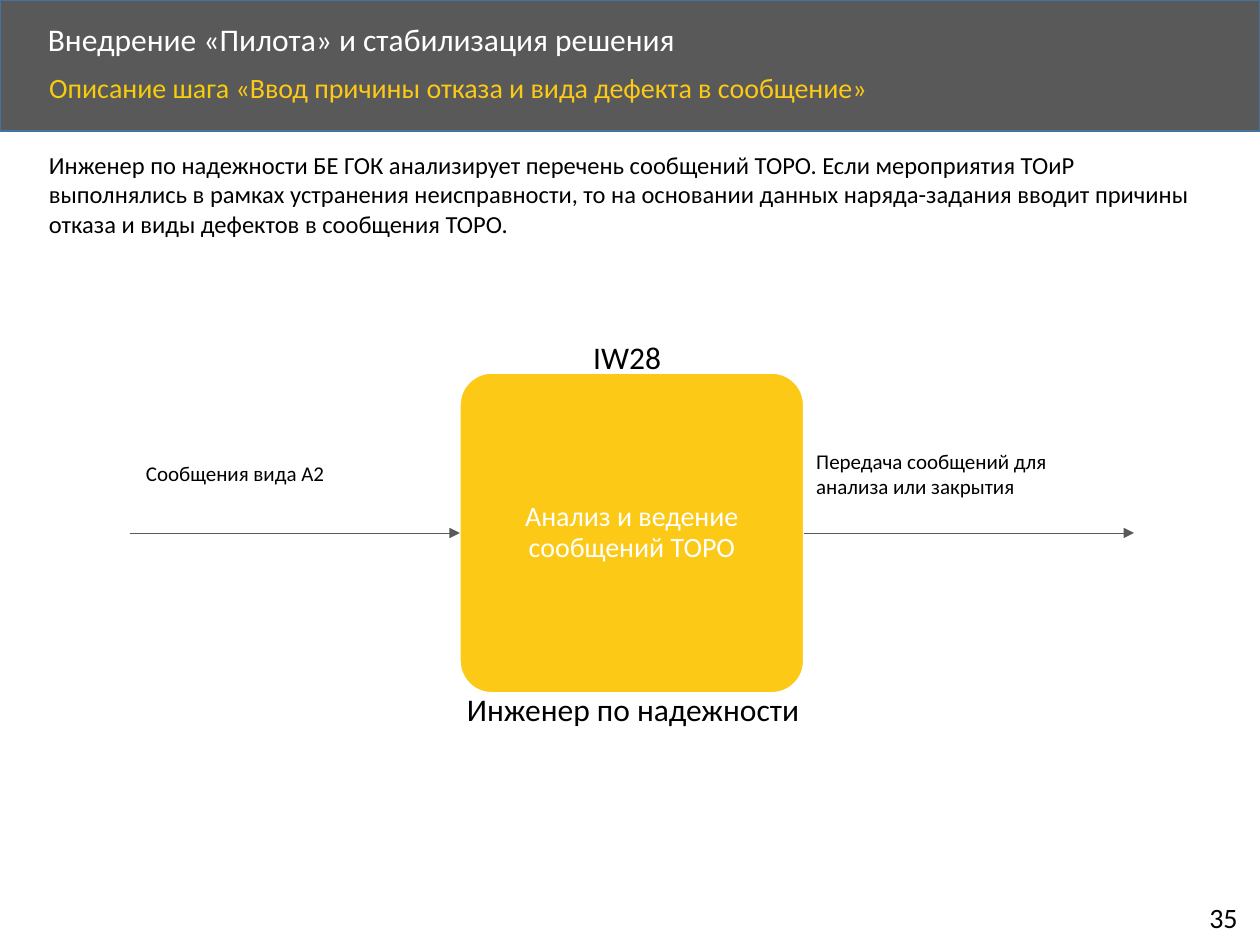
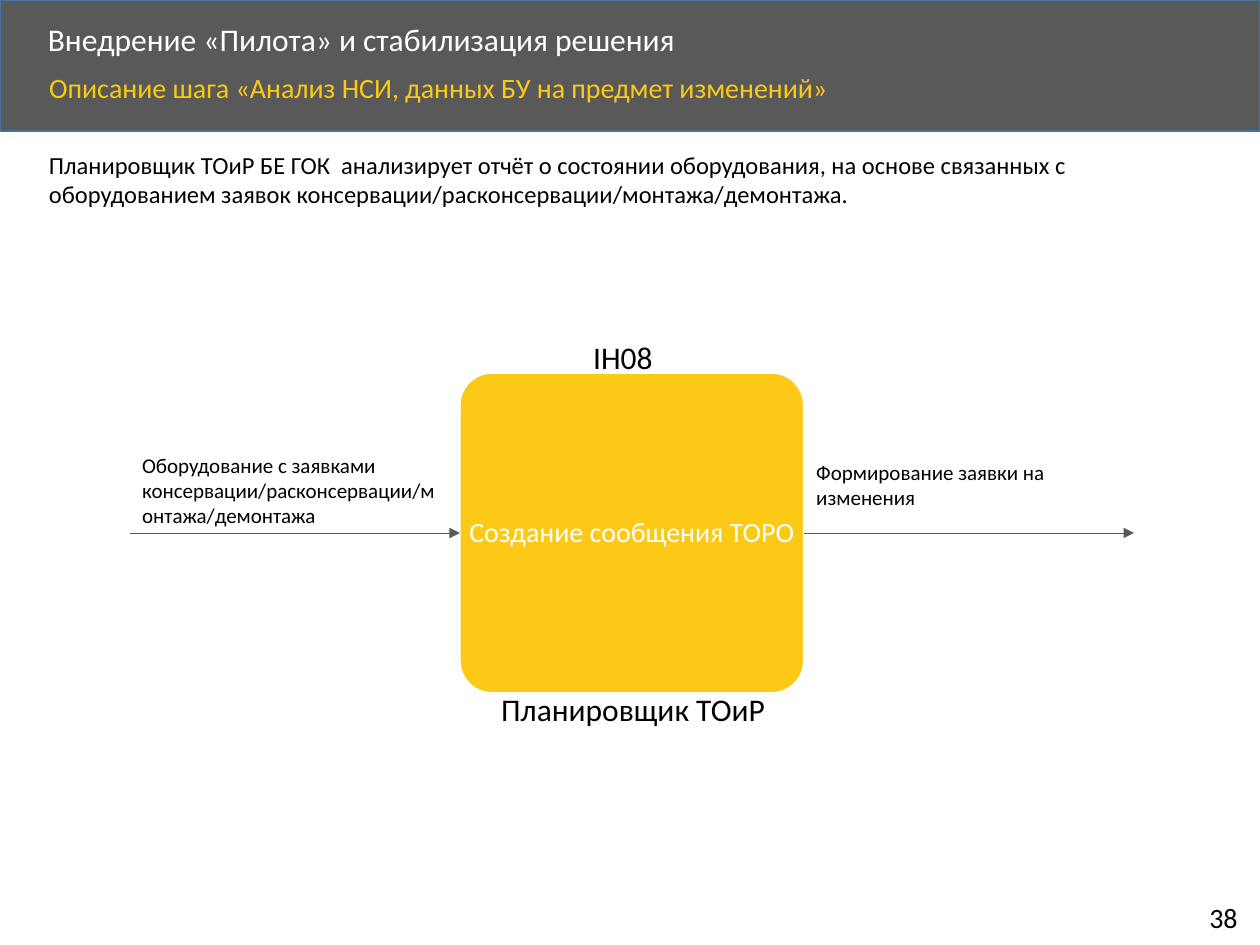
from dataclasses import dataclass

from lxml import etree
from pptx import Presentation
from pptx import util as u
from pptx.dml.color import RGBColor
from pptx.enum import shapes, text
from pptx.oxml import ns

# Shared style
GREY = RGBColor(0x59, 0x59, 0x59)
BLUE = RGBColor(0x43, 0x73, 0x9E)
YELLOW = RGBColor(0xFC, 0xC9, 0x17)
DARK_YELLOW = RGBColor(0xF6, 0xCC, 0x0C)
WHITE = RGBColor(0xFF, 0xFF, 0xFF)
BLACK = RGBColor(0, 0, 0)
FONT = "Calibri"
DECK_TITLE = "Внедрение «Пилота» и стабилизация решения"

# Grid: every area is (column, row, columns, rows)
COLUMNS, ROWS = 100, 75
BAND = (0, 0, COLUMNS, 10.4)
TITLE = (2.8, 1.4, 80.7, 3.8)
SUBTITLE = (2.9, 5.4, 86.5, 4.5)
NUMBER = (95, 71, 4.6, 3.7)
STEP = (36.5, 29.6, 27.3, 25.4)
ROLE = (36, 54.3, 28.5, 4)
ARROW_LENGTH = 26.2


@dataclass
class Step:
    number: str
    name: str
    summary: str
    summary_rows: float
    code: str
    code_columns: float
    action: str
    role: str
    source: str
    source_area: tuple
    result: str
    result_row: float


STEPS = [
    Step("35", "«Ввод причины отказа и вида дефекта в сообщение»",
         "Инженер по надежности БЕ ГОК анализирует перечень сообщений ТОРО. "
         "Если мероприятия ТОиР выполнялись в рамках устранения неисправности, "
         "то на основании данных наряда-задания вводит причины отказа "
         "и виды дефектов в сообщения ТОРО.", 8.1,
         "IW28", 7.5, "Анализ и ведение сообщений ТОРО", "Инженер по надежности",
         "Сообщения вида A2", (10.6, 36.1, 25.6, 3),
         "Передача сообщений для анализа или закрытия", 35.1),
    Step("38", "«Анализ НСИ, данных БУ на предмет изменений»",
         "Планировщик ТОиР БЕ ГОК  анализирует отчёт о состоянии оборудования, "
         "на основе связанных с оборудованием заявок "
         "консервации/расконсервации/монтажа/демонтажа.", 5.7,
         "IH08", 6.8, "Создание сообщения ТОРО", "Планировщик ТОиР",
         "Оборудование с заявками консервации/расконсервации/монтажа/демонтажа",
         (10.3, 35.4, 25.6, 9.1),
         "Формирование заявки на изменения", 36),
]


class Builder:
    def __init__(self):
        self.deck = Presentation()
        self.deck.slide_width, self.deck.slide_height = u.Inches(10), u.Inches(7.5)
        self.page = None

    def new_page(self):
        self.page = self.deck.slides.add_slide(self.deck.slide_layouts[1])

    def place(self, area):
        cell_width = self.deck.slide_width / COLUMNS
        cell_height = self.deck.slide_height / ROWS
        sizes = (cell_width, cell_height) * 2
        return [u.Emu(round(length * size)) for length, size in zip(area, sizes)]

    def style(self, para, size, color, align=text.PP_ALIGN.LEFT, spacing=1.0):
        para.alignment, para.line_spacing = align, spacing
        para.space_before = u.Pt(0)
        para.font.name, para.font.size = FONT, u.Pt(size)
        para.font.color.rgb = color

    def shape(self, kind, area, fill, line):
        box = self.page.shapes.add_shape(kind, *self.place(area))
        box.shadow.inherit = False
        box.fill.solid()
        box.fill.fore_color.rgb = fill
        box.line.color.rgb, box.line.width = line, u.Pt(1)
        return box

    def band(self):
        box = self.shape(shapes.MSO_SHAPE.RECTANGLE, BAND, GREY, BLUE)
        # Send behind the placeholders
        self.page.shapes.element.insert(2, box.element)

    def placeholder(self, index, area):
        box = self.page.placeholders[index]
        box.left, box.top, box.width, box.height = self.place(area)
        box.text_frame.auto_size = text.MSO_AUTO_SIZE.NONE
        return box.text_frame

    def title(self, words):
        frame = self.placeholder(0, TITLE)
        frame.vertical_anchor = text.MSO_ANCHOR.MIDDLE
        frame.text = words
        self.style(frame.paragraphs[0], 18, WHITE, spacing=0.9)

    def subtitle(self, lead, name):
        para = self.placeholder(1, SUBTITLE).paragraphs[0]
        properties = para._p.get_or_add_pPr()
        properties.set("marL", "0")
        properties.set("indent", "0")
        etree.SubElement(properties, ns.qn("a:buNone"))
        self.style(para, 16, YELLOW, spacing=0.9)
        for words, color in ((lead, DARK_YELLOW), (name, YELLOW)):
            span = para.add_run()
            span.text = words
            span.font.color.rgb = color

    def label(self, words, area, size, wrap=True, **look):
        box = self.page.shapes.add_textbox(*self.place(area))
        frame = box.text_frame
        frame.word_wrap = wrap
        frame.text = words
        self.style(frame.paragraphs[0], size, look.pop("color", BLACK), **look)
        return frame

    def step_box(self, words):
        box = self.shape(shapes.MSO_SHAPE.ROUNDED_RECTANGLE, STEP, YELLOW, WHITE)
        box.adjustments[0] = 0.1
        left, top, width, height = STEP
        frame = self.label(words, (left + 0.6, top + 0.75, width - 1.2, height - 1.5),
                           16, color=WHITE, align=text.PP_ALIGN.CENTER, spacing=0.9)
        frame.vertical_anchor = text.MSO_ANCHOR.MIDDLE
        frame.margin_left = frame.margin_right = u.Inches(0.01)
        frame.margin_top = frame.margin_bottom = u.Inches(0.01)
        return box

    def arrow(self, start, end):
        line = self.page.shapes.add_connector(
            shapes.MSO_CONNECTOR.STRAIGHT, *self.place(start + end))
        line.line.color.rgb, line.line.width = GREY, u.Pt(0.5)
        etree.SubElement(line.line._get_or_add_ln(), ns.qn("a:tailEnd"), type="triangle")
        etree.SubElement(line.element.spPr, ns.qn("a:effectLst"))
        return line

    def flow(self, step):
        left, top, width, height = STEP
        right, middle = left + width, top + height / 2
        box = self.step_box(step.action)
        incoming = self.arrow((left - ARROW_LENGTH, middle), (left, middle))
        incoming.end_connect(box, 1)
        outgoing = self.arrow((right, middle), (right + ARROW_LENGTH, middle))
        outgoing.begin_connect(box, 3)

        self.label(step.source, step.source_area, 12)
        self.label(step.result, (right, step.result_row, 25.7, 5), 12)
        self.label(step.code, (46.1, 26.3, step.code_columns, 4), 18, wrap=False)
        self.label(step.role, ROLE, 18, align=text.PP_ALIGN.CENTER)

    def step_page(self, step):
        self.new_page()
        # Header and page number
        self.band()
        self.title(DECK_TITLE)
        self.subtitle("Описание шага ", step.name)
        self.label(step.number, NUMBER, 16, wrap=False)
        # Summary and process flow
        self.label(step.summary, (2.9, 11.4, 94.6, step.summary_rows), 14)
        self.flow(step)


def main():
    builder = Builder()
    for step in STEPS:
        builder.step_page(step)
    builder.deck.save("out.pptx")


if __name__ == "__main__":
    main()
